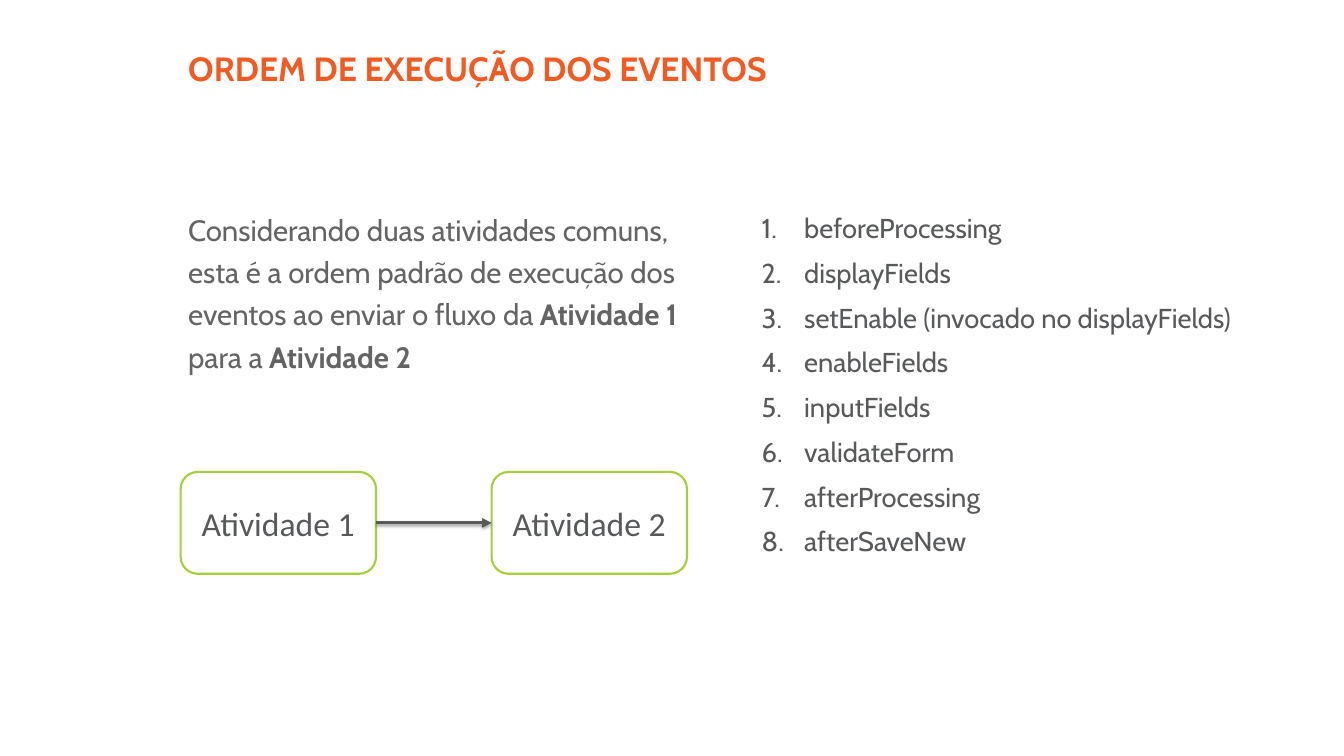
from lxml import etree
from pptx import Presentation
from pptx.dml.color import RGBColor
from pptx.enum.shapes import MSO_CONNECTOR, MSO_SHAPE
from pptx.enum.text import MSO_ANCHOR, MSO_AUTO_SIZE, PP_ALIGN
from pptx.oxml.ns import qn
from pptx.util import Pt

STRAIGHT = MSO_CONNECTOR.STRAIGHT
ROUNDED = MSO_SHAPE.ROUNDED_RECTANGLE
TOP, MIDDLE = MSO_ANCHOR.TOP, MSO_ANCHOR.MIDDLE
NO_AUTOFIT = MSO_AUTO_SIZE.NONE
LEFT, CENTER = PP_ALIGN.LEFT, PP_ALIGN.CENTER
RIGHT_SIDE, LEFT_SIDE = 3, 1

ORANGE, GREEN, WHITE, BLACK = "F15A22", "A6CE39", "FFFFFF", "000000"
DARK_GRAY, GRAY = "58595B", "636463"

TITLE_FONT = {"name": "Cabin", "size": Pt(32), "bold": True}
LIST_FONT = {"name": "Cabin", "size": Pt(26)}
INTRO_FONT = {"name": "Cabin", "size": Pt(28)}
ACTIVITY_FONT = {"name": "Calibri", "size": Pt(32)}

INTRO = [
    ("Considerando duas atividades comuns, esta é a ordem padrão de execução "
     "dos eventos ao enviar o fluxo da ", False),
    ("Atividade 1 ", True),
    ("para a ", False),
    ("Atividade 2", True),
]
EVENTS = [
    "beforeProcessing", "displayFields", "setEnable (invocado no displayFields)",
    "enableFields", "inputFields", "validateForm", "afterProcessing", "afterSaveNew",
]


def rgb(value):
    return RGBColor.from_string(value)


def apply_format(target, values):
    for name, value in values.items():
        setattr(target, name, value)


def format_font(font, values, color):
    apply_format(font, values)
    font.color.rgb = rgb(color)


def add_xml(parent, tag, **attributes):
    return etree.SubElement(parent, qn(tag), attributes)


def set_title(slide, text):
    title = slide.shapes.title
    apply_format(title, {"left": Pt(172), "top": Pt(42), "width": Pt(685), "height": Pt(101)})
    frame = title.text_frame
    apply_format(frame, {"text": text, "vertical_anchor": TOP,
                         "word_wrap": True, "auto_size": NO_AUTOFIT})
    paragraph = frame.paragraphs[0]
    paragraph.alignment = LEFT
    format_font(paragraph.runs[0].font, TITLE_FONT, ORANGE)


def add_text_frame(slide, left, top, width, height):
    frame = slide.shapes.add_textbox(Pt(left), Pt(top), Pt(width), Pt(height)).text_frame
    frame.word_wrap = True
    return frame


def add_intro(slide):
    paragraph = add_text_frame(slide, 172, 191.5, 505.5, 171.5).paragraphs[0]
    paragraph.line_spacing = 1.2
    for text, bold in INTRO:
        run = paragraph.add_run()
        run.text = text
        format_font(run.font, {**INTRO_FONT, "bold": bold}, GRAY)


def add_numbered_list(slide, items):
    frame = add_text_frame(slide, 718, 191.5, 506, 421)
    for index, item in enumerate(items):
        paragraph = frame.add_paragraph() if index else frame.paragraphs[0]
        apply_format(paragraph, {"text": item, "line_spacing": 1.2,
                                 "space_before": Pt(5.2 if index else 0)})
        properties = paragraph._p.get_or_add_pPr()
        properties.set("marL", str(Pt(40.5)))
        properties.set("indent", str(-Pt(40.5)))
        add_xml(properties, "a:buFont", typeface="+mj-lt")
        add_xml(properties, "a:buAutoNum", type="arabicPeriod")
        format_font(paragraph.runs[0].font, LIST_FONT, DARK_GRAY)


def add_activity(slide, left, text):
    shape = slide.shapes.add_shape(ROUNDED, Pt(left), Pt(449.5), Pt(186), Pt(97))
    shape.shadow.inherit = False
    shape.fill.solid()
    shape.fill.fore_color.rgb = rgb(WHITE)
    shape.line.color.rgb = rgb(GREEN)
    shape.line.width = Pt(2)
    apply_format(shape.text_frame, {"text": text, "vertical_anchor": MIDDLE})
    paragraph = shape.text_frame.paragraphs[0]
    paragraph.alignment = CENTER
    format_font(paragraph.runs[0].font, ACTIVITY_FONT, DARK_GRAY)
    return shape


def add_arrow(slide, source, target):
    arrow = slide.shapes.add_connector(STRAIGHT, 0, 0, 0, 0)
    arrow.begin_connect(source, RIGHT_SIDE)
    arrow.end_connect(target, LEFT_SIDE)
    arrow.line.color.rgb = rgb(DARK_GRAY)
    arrow.line.width = Pt(3)
    add_xml(arrow.line._get_or_add_ln(), "a:tailEnd", type="triangle")
    effects = add_xml(arrow._element.spPr, "a:effectLst")
    shadow = add_xml(effects, "a:outerShdw", blurRad=str(Pt(3.1)), dist=str(Pt(1.6)),
                     dir="5400000", rotWithShape="0")
    color = add_xml(shadow, "a:srgbClr", val=BLACK)
    add_xml(color, "a:alpha", val="38000")


def main():
    presentation = Presentation()
    presentation.slide_width = Pt(1279.44)
    presentation.slide_height = Pt(720)
    slide = presentation.slides.add_slide(presentation.slide_layouts[5])
    set_title(slide, "ORDEM DE EXECUÇÃO DOS EVENTOS")
    add_numbered_list(slide, EVENTS)
    first = add_activity(slide, 172, "Atividade 1")
    second = add_activity(slide, 468, "Atividade 2")
    add_arrow(slide, first, second)
    add_intro(slide)
    presentation.save("out.pptx")


if __name__ == "__main__":
    main()
